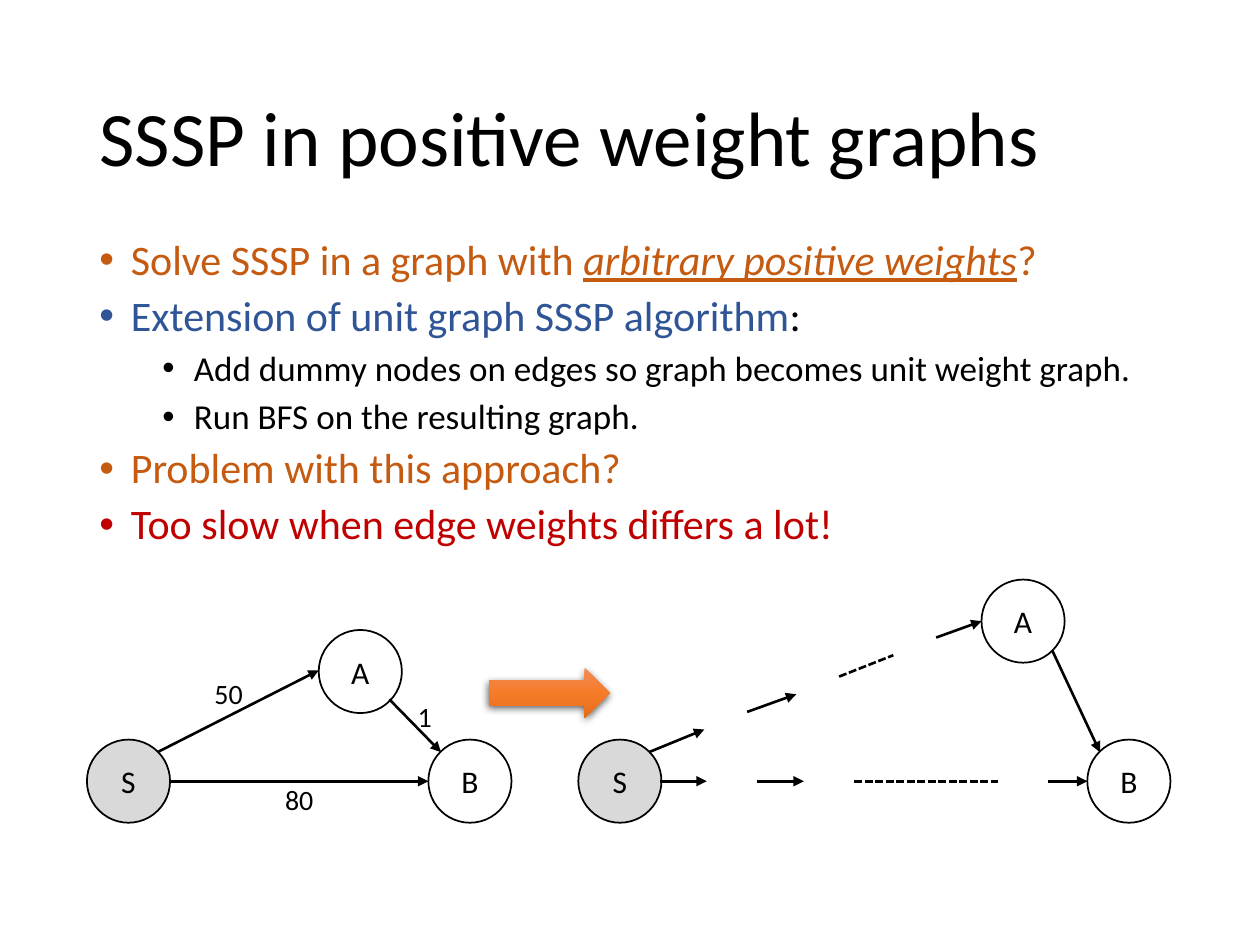
from dataclasses import dataclass

from lxml import etree
from pptx import Presentation
from pptx.dml.color import RGBColor
from pptx.enum.dml import MSO_LINE
from pptx.enum.shapes import MSO_CONNECTOR, MSO_SHAPE
from pptx.enum.text import MSO_ANCHOR, MSO_AUTO_SIZE, PP_ALIGN
from pptx.oxml import parse_xml
from pptx.oxml.ns import nsdecls, qn
from pptx.util import Inches, Pt

STRAIGHT = MSO_CONNECTOR.STRAIGHT
OVAL, RIGHT_ARROW = MSO_SHAPE.OVAL, MSO_SHAPE.RIGHT_ARROW
LEFT, CENTER = PP_ALIGN.LEFT, PP_ALIGN.CENTER
MIDDLE = MSO_ANCHOR.MIDDLE
NO_FIT, GROW = MSO_AUTO_SIZE.NONE, MSO_AUTO_SIZE.SHAPE_TO_FIT_TEXT
DASH = MSO_LINE.SQUARE_DOT


@dataclass(frozen=True)
class Theme:
    """Colours, font and type sizes of the slide."""
    font: str = "Calibri"
    black: str = "000000"
    white: str = "FFFFFF"
    grey: str = "D9D9D9"
    orange: str = "C55A11"
    blue: str = "2F5597"
    red: str = "C00000"
    arrow: tuple = ((0, "F18C57"), (50, "F67B28"), (100, "E56C19"))
    title: int = 44
    levels: tuple = (24, 20)
    node: int = 18
    weight: int = 16


class Deck:
    """Style and current slide, with a method for each kind of element."""

    def __init__(self, prs, theme):
        self.theme = theme
        self.s = prs.slides.add_slide(prs.slide_layouts[5])
        self.shapes = self.s.shapes

    def start_group(self):
        self.shapes = self.s.shapes.add_group_shape().shapes

    def end_group(self):
        self.shapes = self.s.shapes

    def run(self, p, text, size, color, **formats):
        r = p.add_run()
        r.text = text
        values = {"name": self.theme.font, "size": Pt(size), **formats}
        for key, value in values.items():
            setattr(r.font, key, value)
        r.font.color.rgb = RGBColor.from_string(color)

    def format(self, target, **values):
        for key, value in values.items():
            setattr(target, key, value)

    def title(self, text, box):
        sp = self.s.shapes.title
        self.format(sp, **dict(zip(("left", "top", "width", "height"), map(Inches, box))))
        tf = sp.text_frame
        self.format(tf, vertical_anchor=MIDDLE, word_wrap=True, auto_size=NO_FIT)
        p = tf.paragraphs[0]
        self.format(p, alignment=LEFT, line_spacing=0.9)
        self.run(p, text, self.theme.title, self.theme.black)

    def bullets(self, items, box):
        tf = self.shapes.add_textbox(*map(Inches, box)).text_frame
        tf.word_wrap = True
        for i, (level, runs) in enumerate(items):
            p = tf.add_paragraph() if i else tf.paragraphs[0]
            self.format(p, level=level, line_spacing=0.9, space_before=Pt(6 if i else 0))
            pPr = p._p.get_or_add_pPr()
            pPr.set("marL", str(Inches(0.25 + 0.5 * level)))
            pPr.set("indent", str(Inches(-0.25)))
            etree.SubElement(pPr, qn("a:buFont")).set("typeface", "Arial")
            etree.SubElement(pPr, qn("a:buChar")).set("char", "•")
            for text, color, formats in runs:
                self.run(p, text, self.theme.levels[level], color, **formats)

    def node(self, name, left, top, fill):
        sp = self.shapes.add_shape(OVAL, *map(Inches, (left, top, 0.66, 0.66)))
        sp.shadow.inherit = False
        sp.fill.solid()
        sp.fill.fore_color.rgb = RGBColor.from_string(fill)
        sp.line.color.rgb = RGBColor.from_string(self.theme.black)
        sp.line.width = Pt(1)
        tf = sp.text_frame
        tf.vertical_anchor = MIDDLE
        p = tf.paragraphs[0]
        p.alignment = CENTER
        self.run(p, name, self.theme.node, self.theme.black)

    def edge(self, x1, y1, x2, y2, dashed=False):
        sp = self.shapes.add_connector(STRAIGHT, *map(Inches, (x1, y1, x2, y2)))
        sp.line.color.rgb = RGBColor.from_string(self.theme.black)
        sp.line.width = Pt(1.5)
        if dashed:
            sp.line.dash_style = DASH
        else:
            etree.SubElement(sp.line._get_or_add_ln(), qn("a:tailEnd")).set("type", "triangle")
        etree.SubElement(sp._element.spPr, qn("a:effectLst"))

    def weight(self, text, left, top, width):
        tf = self.shapes.add_textbox(*map(Inches, (left, top, width, 0.37))).text_frame
        self.format(tf, word_wrap=False, auto_size=GROW)
        p = tf.paragraphs[0]
        p.alignment = CENTER
        self.run(p, text, self.theme.weight, self.theme.black)

    def block_arrow(self, box):
        sp = self.shapes.add_shape(RIGHT_ARROW, *map(Inches, box))
        sp.line.fill.background()
        sp.shadow.inherit = False
        stops = "".join(f'<a:gs pos="{pos * 1000}"><a:srgbClr val="{color}"/></a:gs>'
                        for pos, color in self.theme.arrow)
        spPr = sp._element.spPr
        spPr.find(qn("a:prstGeom")).addnext(parse_xml(
            f'<a:gradFill {nsdecls("a")}><a:gsLst>{stops}</a:gsLst>'
            '<a:lin ang="5400000" scaled="0"/></a:gradFill>'))
        spPr.find(qn("a:effectLst")).append(parse_xml(
            f'<a:outerShdw {nsdecls("a")} blurRad="{Pt(4.5)}" dist="{Pt(1.5)}" dir="5400000" '
            f'rotWithShape="0"><a:srgbClr val="{self.theme.black}"><a:alpha val="63000"/>'
            '</a:srgbClr></a:outerShdw>'))


def main():
    prs = Presentation()
    prs.slide_width, prs.slide_height = Inches(10), Inches(7.5)
    t = Theme()
    d = Deck(prs, t)
    d.title("SSSP in positive weight graphs", (0.69, 0.4, 8.62, 1.45))
    d.bullets([
        (0, [("Solve SSSP in a graph with ", t.orange, {}),
             ("arbitrary positive weights", t.orange, {"italic": True, "underline": True}),
             ("?", t.orange, {})]),
        (0, [("Extension of unit graph SSSP algorithm", t.blue, {}), (":", t.black, {})]),
        (1, [("Add dummy nodes on edges so graph becomes unit weight graph.", t.black, {})]),
        (1, [("Run BFS on the resulting graph.", t.black, {})]),
        (0, [("Problem with this approach?", t.orange, {})]),
        (0, [("Too slow when edge weights differs a lot!", t.red, {})]),
    ], (0.69, 1.85, 8.62, 2.67))

    base, axis = 5.87, 6.2
    weighted = (
        [("S", 0.69, base, t.grey), ("A", 2.53, 5, t.white), ("B", 3.4, base, t.white)],
        [(1.34, axis, 3.4, axis), (1.25, 5.97, 2.53, 5.32), (3.09, 5.55, 3.5, 5.97)],
        [("1", 3.21, 5.5, 0.32), ("50", 1.6, 5.32, 0.43), ("80", 2.16, 6.16, 0.43)],
    )
    unit = (
        [("S", 4.59, base, t.grey), ("A", 7.79, 4.6, t.white), ("B", 8.63, base, t.white)],
        [(8.35, 5.16, 8.73, 5.97), (5.15, 5.97, 5.59, 5.79), (5.93, 5.65, 6.32, 5.51),
         (6.66, 5.37, 7.09, 5.2, True), (7.43, 5.06, 7.79, 4.93),
         (8.32, axis, 8.63, axis), (5.24, axis, 5.61, axis), (6.01, axis, 6.38, axis),
         (6.78, axis, 7.92, axis, True)],
        [],
    )
    for nodes, edges, weights in (weighted, unit):
        d.start_group()
        for node in nodes:
            d.node(*node)
        for edge in edges:
            d.edge(*edge)
        for weight in weights:
            d.weight(*weight)
    d.end_group()
    d.block_arrow((3.88, 5.3, 0.96, 0.4))
    prs.save("out.pptx")


if __name__ == "__main__":
    main()
